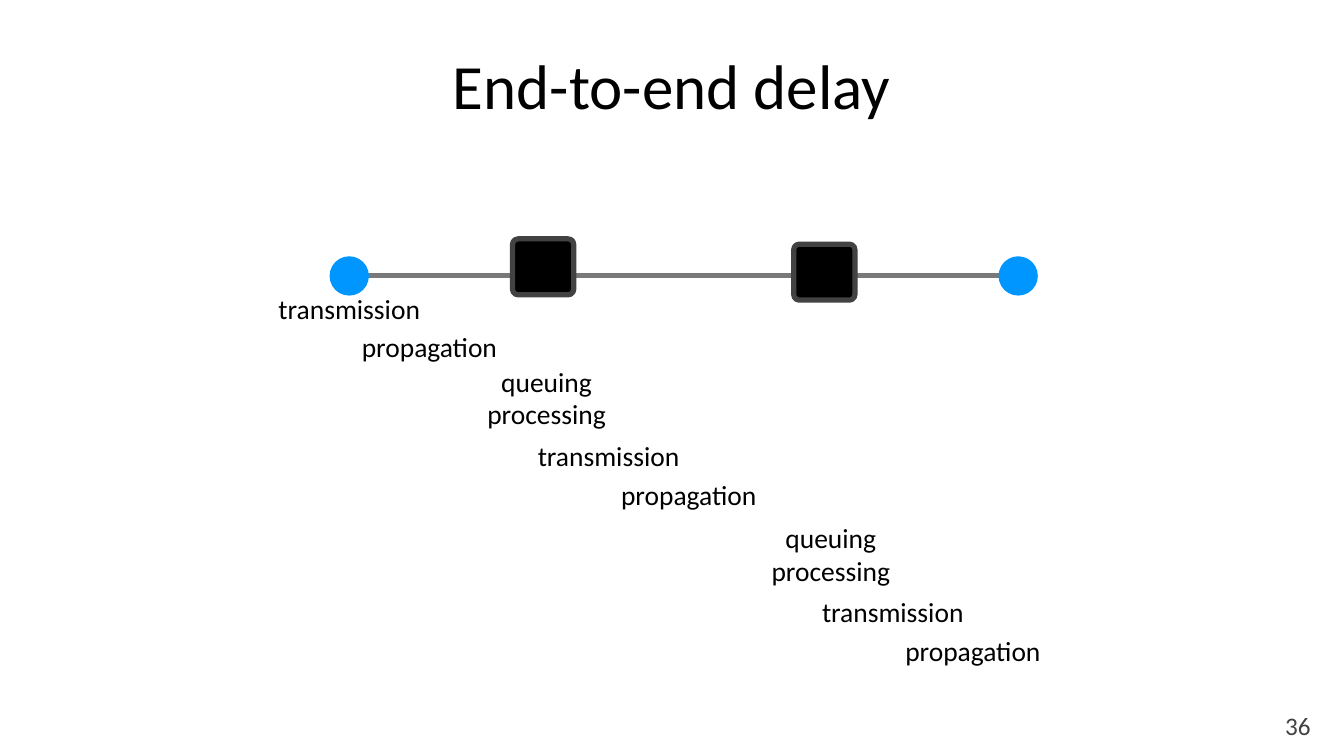
from dataclasses import dataclass

from lxml import etree
from pptx import Presentation
from pptx import util as u
from pptx.dml.color import RGBColor
from pptx.enum import shapes, text
from pptx.oxml import ns

SCALE = 9144  # EMU per px, 100 px to the inch


@dataclass(frozen=True)
class Theme:
    font: str = "Calibri"
    ink: str = "000000"
    muted: str = "424242"
    link: str = "797979"
    host: str = "0096FF"
    title_size: float = 60
    label_size: float = 26.2
    number_size: float = 24
    line_width: float = 5


def px(*lengths):
    return [u.Emu(length * SCALE) for length in lengths]


def write_text(box, words, *, font, size, color, inset=5, wrap=True,
               anchor=text.MSO_ANCHOR.MIDDLE):
    frame = box.text_frame
    frame.word_wrap = wrap
    frame.vertical_anchor = anchor
    (margin,) = px(inset)
    frame.margin_left = frame.margin_right = margin
    frame.margin_top = frame.margin_bottom = margin
    para = frame.paragraphs[0]
    para.alignment = text.PP_ALIGN.CENTER
    span = para.add_run()
    span.text = words
    span.font.name = font
    span.font.size = u.Pt(size)
    span.font.color.rgb = RGBColor.from_string(color)


class SlideBuilder:
    def __init__(self, page, theme):
        self.page = page
        self.theme = theme

    def link(self, x1, x2, y):
        line = self.page.shapes.add_connector(
            shapes.MSO_CONNECTOR.STRAIGHT, *px(x1, y, x2, y))
        line.line.color.rgb = RGBColor.from_string(self.theme.link)
        line.line.width = u.Pt(self.theme.line_width)
        etree.SubElement(line._element.spPr, ns.qn("a:effectLst"))

    def solid(self, kind, place, color):
        shape = self.page.shapes.add_shape(kind, *px(*place))
        shape.shadow.inherit = False
        shape.fill.solid()
        shape.fill.fore_color.rgb = RGBColor.from_string(color)
        shape.line.fill.background()
        return shape

    def host(self, left, top):
        self.solid(shapes.MSO_SHAPE.OVAL, (left, top, 52, 52), self.theme.host)

    def router(self, left, top):
        shape = self.solid(shapes.MSO_SHAPE.ROUNDED_RECTANGLE,
                           (left, top, 81, 74), self.theme.ink)
        shape.adjustments[0] = 0.1
        shape.line.color.rgb = RGBColor.from_string(self.theme.muted)
        shape.line.width = u.Pt(self.theme.line_width)

    def words(self, words, place, size, color=None, **style):
        box = self.page.shapes.add_textbox(*px(*place))
        write_text(box, words, font=self.theme.font, size=size,
                   color=color or self.theme.ink, **style)

    def label(self, words, left, top):
        self.words(words, (left, top, 222, 55), self.theme.label_size)

    def sending_labels(self, left, top):
        """Label the delays of putting a packet on a link and crossing it."""
        self.label("transmission", left, top)
        self.label("propagation", left + 106, top + 51)

    def router_labels(self, left, top):
        """Label all delays from arrival at a router to the next node."""
        self.label("queuing", left, top)
        self.label("processing", left, top + 43)
        self.sending_labels(left + 82, top + 98)


def main():
    deck = Presentation()
    deck.slide_width, deck.slide_height = px(1778, 1000)
    theme = Theme()
    slide = SlideBuilder(deck.slides.add_slide(deck.slide_layouts[6]), theme)

    slide.words("End-to-end delay", (352, -14, 1073, 250), theme.title_size)

    slide.link(469, 1335, 364)
    for left in (436, 1321):
        slide.host(left, 339)
    for left, top in ((678, 316), (1050, 323)):
        slide.router(left, top)

    slide.sending_labels(351, 380)
    for hop in range(2):
        slide.router_labels(612 + 376 * hop, 477 + 207 * hop)

    slide.words("36", (1700, 939, 34, 40), theme.number_size, theme.muted,
                inset=0, wrap=False, anchor=text.MSO_ANCHOR.TOP)
    deck.save("out.pptx")


if __name__ == "__main__":
    main()
